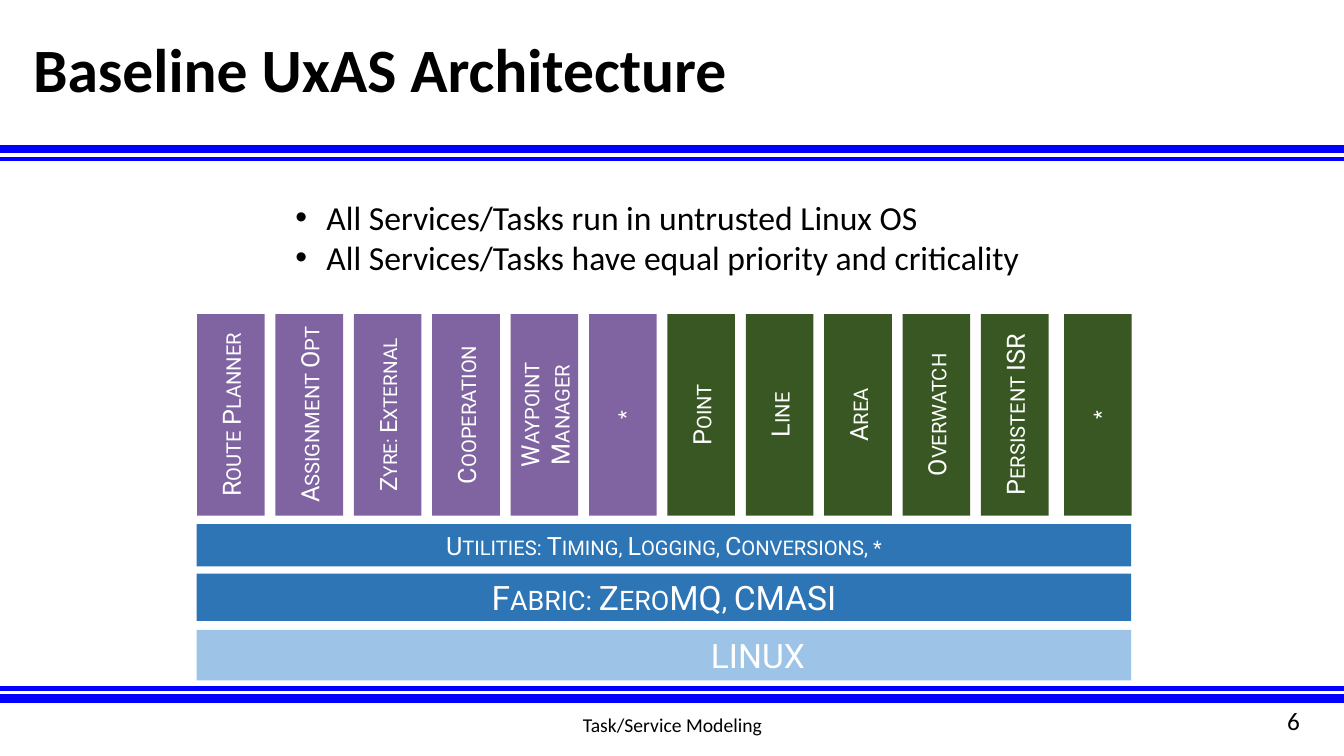
from pptx import Presentation
from pptx.dml.color import RGBColor
from pptx.enum.shapes import MSO_CONNECTOR, MSO_SHAPE
from pptx.enum.text import MSO_ANCHOR, PP_ALIGN
from pptx.oxml.ns import qn
from pptx.util import Inches, Pt
from lxml import etree

HUES = {
    "rule": "0000FF", "black": "000000", "white": "FFFFFF",
    "service": "8064A2", "task": "385723",
    "core": "2E75B6", "system": "9DC3E6",
}

deck = Presentation()
deck.slide_width = Inches(13.33)
deck.slide_height = Inches(7.5)
slide = deck.slides.add_slide(deck.slide_layouts[6])


def add_text(left, top, width, height, lines, size, align, anchor, bullet=False):
    box = slide.shapes.add_textbox(Inches(left), Inches(top), Inches(width), Inches(height))
    frame = box.text_frame
    frame.word_wrap = True
    frame.vertical_anchor = anchor
    frame.text = "\n".join(lines)
    for para in frame.paragraphs:
        para.alignment = align
        if bullet:
            props = para._p.get_or_add_pPr()
            props.set("marL", str(Inches(0.31)))
            props.set("indent", str(-Inches(0.31)))
            etree.SubElement(props, qn("a:buFont")).set("typeface", "Arial")
            etree.SubElement(props, qn("a:buChar")).set("char", "•")
        for run in para.runs:
            run.font.name = "Calibri"
            run.font.size = Pt(size)
            run.font.color.rgb = RGBColor.from_string(HUES["black"])
    return frame


def add_block(left, top, width, height, label, size, hue):
    block = slide.shapes.add_shape(
        MSO_SHAPE.RECTANGLE, Inches(left), Inches(top), Inches(width), Inches(height))
    block.shadow.inherit = False
    block.fill.solid()
    block.fill.fore_color.rgb = RGBColor.from_string(HUES[hue])
    block.line.fill.background()
    frame = block.text_frame
    frame.word_wrap = True
    frame.vertical_anchor = MSO_ANCHOR.MIDDLE
    frame.text = label
    para = frame.paragraphs[0]
    para.alignment = PP_ALIGN.CENTER
    font = para.runs[0].font
    font.name = "Roboto"
    font.size = Pt(size)
    font.color.rgb = RGBColor.from_string(HUES["white"])
    para.runs[0]._r.get_or_add_rPr().set("cap", "small")
    return block


for y, weight in [(1.48, 6), (1.58, 3), (6.93, 6), (6.83, 3)]:
    rule = slide.shapes.add_connector(
        MSO_CONNECTOR.STRAIGHT, 0, Inches(y), deck.slide_width, Inches(y))
    rule.line.color.rgb = RGBColor.from_string(HUES["rule"])
    rule.line.width = Pt(weight)
    etree.SubElement(rule._element.spPr, qn("a:effectLst"))

title = add_text(0.23, 0.07, 11.43, 1.29, ["Baseline UxAS Architecture"],
                 44, PP_ALIGN.LEFT, MSO_ANCHOR.MIDDLE)
title.paragraphs[0].line_spacing = 0.9
title.paragraphs[0].runs[0].font.bold = True

add_text(2.83, 1.9, 7.82, 0.91,
         ["All Services/Tasks run in untrusted Linux OS",
          "All Services/Tasks have equal priority and criticality"],
         24, PP_ALIGN.LEFT, MSO_ANCHOR.TOP, bullet=True)

services = ["Route Planner", "Assignment Opt", "Zyre: External",
            "Cooperation", "Waypoint Manager", "*"]
tasks = ["Point", "Line", "Area", "Overwatch", "Persistent ISR", "*"]
labels = services + tasks
for i, label in enumerate(labels):
    left = 9.89 if i == len(labels) - 1 else 1.29 + 0.7775 * i
    size = 17 if label == "Zyre: External" else 18
    hue = "service" if i < len(services) else "task"
    column = add_block(left, 3.78, 2, 0.67, label, size, hue)
    column.rotation = 270

layers = [
    (5.2, 0.42, "Utilities: Timing, Logging, Conversions, *", 18, "core"),
    (5.69, 0.47, "Fabric: ZeroMQ, CMASI", 24, "core"),
    (6.25, 0.5, "LINUX", 24, "system"),
]
for top, height, label, size, hue in layers:
    layer = add_block(1.95, top, 9.27, height, label, size, hue)
    if hue == "system":
        layer.text_frame.margin_left = Inches(1.03)

add_text(4.42, 7.02, 4.5, 0.34, ["Task/Service Modeling"],
         14, PP_ALIGN.CENTER, MSO_ANCHOR.MIDDLE)
add_text(9.42, 6.95, 3.57, 0.4, ["6"], 18, PP_ALIGN.RIGHT, MSO_ANCHOR.TOP)

deck.save("out.pptx")
